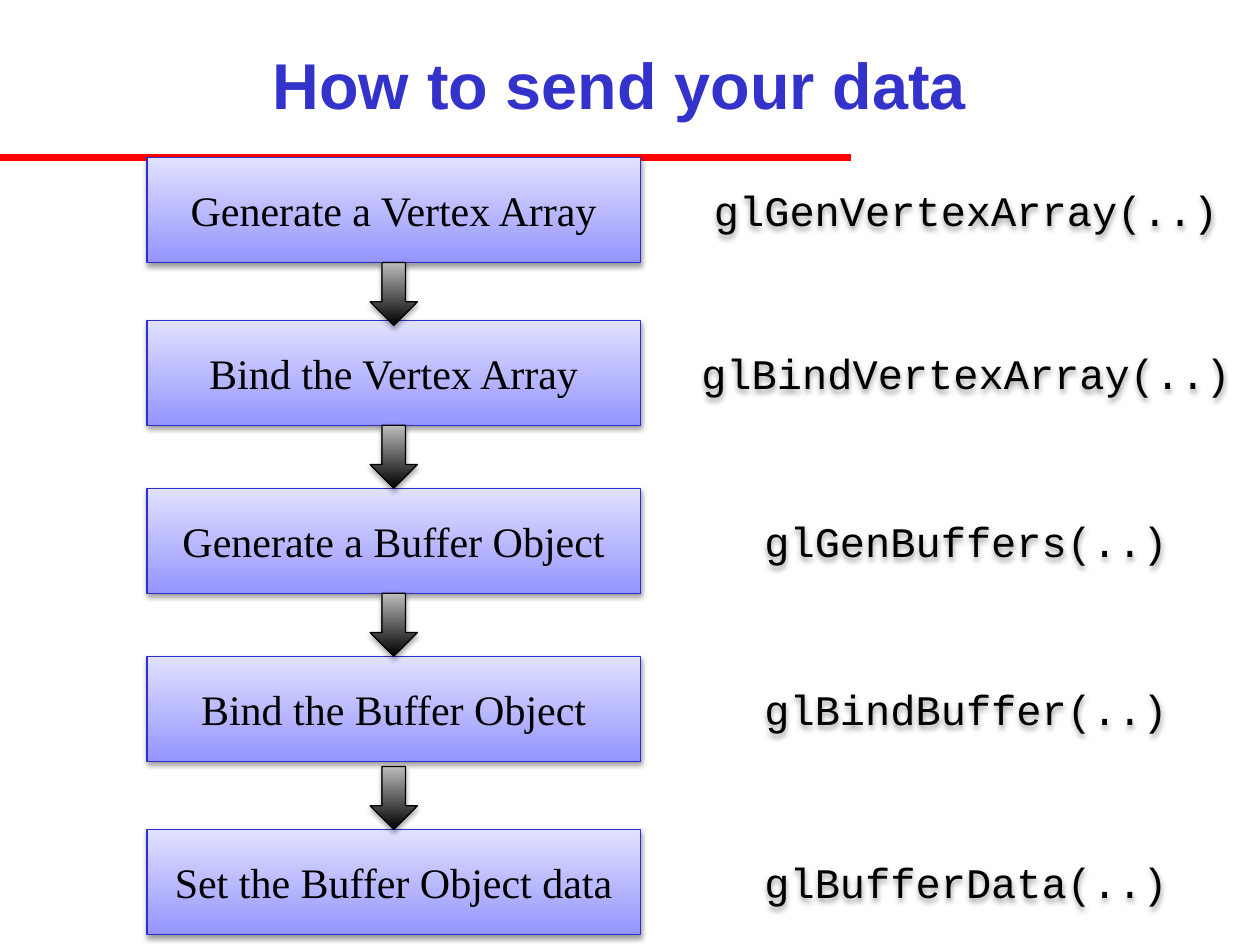
from lxml.etree import SubElement
from pptx import Presentation
from pptx.dml.color import RGBColor
from pptx.enum.shapes import MSO_CONNECTOR as Connector, MSO_SHAPE as Shape
from pptx.enum.text import MSO_ANCHOR as Anchor, MSO_AUTO_SIZE as AutoSize, PP_ALIGN as Align
from pptx.oxml.ns import qn
from pptx.util import Inches, Pt

GRID = 24  # grid cells per inch
BOX_ROWS, ARROW_ROWS, ARROW_COLS = 20, 12, 9
STEP_LEFT, STEP_COLS = 28, 94
CALL_LEFT, CALL_COLS = 130, 108

# Row of each step, its label and its call
STEPS = [
    (30, "Generate a Vertex Array", "glGenVertexArray(..)"),
    (61, "Bind the Vertex Array", "glBindVertexArray(..)"),
    (93, "Generate a Buffer Object", "glGenBuffers(..)"),
    (125, "Bind the Buffer Object", "glBindBuffer(..)"),
    (158, "Set the Buffer Object data", "glBufferData(..)"),
]
ARROW_TOPS = [50, 81, 113, 146]


def cells(*counts):
    return [Inches(count / GRID) for count in counts]


def color(value):
    return RGBColor.from_string(value)


def write(shape, text, size=24, font="Times New Roman", ink="000000", bold=False):
    frame = shape.text_frame
    frame.word_wrap = True
    frame.auto_size = AutoSize.NONE
    frame.vertical_anchor = Anchor.MIDDLE
    para = frame.paragraphs[0]
    para.alignment = Align.CENTER
    span = para.add_run()
    span.text = text
    span.font.size, span.font.name, span.font.bold = Pt(size), font, bold
    span.font.color.rgb = color(ink)


def set_shadow(shape, distance, opacity):
    """Replace the theme shadow with a soft one straight below."""
    shape.shadow.inherit = False
    effects = shape._element.spPr.find(qn("a:effectLst"))
    shadow = SubElement(effects, qn("a:outerShdw"), blurRad=str(Pt(3)),
                        dist=str(Pt(distance)), dir="5400000", rotWithShape="0")
    black = SubElement(shadow, qn("a:srgbClr"), val="000000")
    SubElement(black, qn("a:alpha"), val=str(opacity * 1000))


def add_gradient_shape(page, kind, box, bottom, top, outline, distance, opacity):
    shape = page.shapes.add_shape(kind, *cells(*box))
    shape.fill.gradient()
    shape.fill.gradient_angle = 90
    for stop, shade in zip(shape.fill.gradient_stops, (bottom, top)):
        stop.color.rgb = color(shade)
    shape.line.color.rgb = color(outline)
    shape.line.width = Pt(0.75)
    set_shadow(shape, distance, opacity)
    return shape


def add_header(page, box):
    left, top, width, height = box
    rule = page.shapes.add_connector(
        Connector.STRAIGHT, *cells(left, top + height, left + 162, top + height))
    rule.line.color.rgb = color("FF0000")
    rule.line.width = Pt(4)
    SubElement(rule._element.spPr, qn("a:effectLst"))
    title = page.shapes.title
    title.left, title.top, title.width, title.height = cells(*box)
    write(title, "How to send your data", size=37, font="Arial", ink="3333CC", bold=True)


def add_step(page, box, label):
    step = add_gradient_shape(page, Shape.RECTANGLE, box, "9595FF", "E1E1FF",
                              "2E2ECB", 1.6, 38)
    write(step, label)


def add_arrow(page, box):
    add_gradient_shape(page, Shape.DOWN_ARROW, box, "000000", "BCBCBC",
                       "000000", 1.8, 35)


def add_call(page, box, code):
    call = page.shapes.add_textbox(*cells(*box))
    write(call, code, font="Courier New")
    set_shadow(call, 1.6, 38)


def main():
    deck = Presentation()
    deck.slide_width, deck.slide_height = Inches(10), Inches(7.5)
    page = deck.slides.add_slide(deck.slide_layouts[5])

    # Title and red rule
    add_header(page, (0, 2, 236, 28))

    # Steps with their calls
    for top, label, code in STEPS:
        add_step(page, (STEP_LEFT, top, STEP_COLS, BOX_ROWS), label)
        add_call(page, (CALL_LEFT, top, CALL_COLS, BOX_ROWS), code)

    # Arrows centred on the steps
    arrow_left = STEP_LEFT + (STEP_COLS - ARROW_COLS) / 2
    for top in ARROW_TOPS:
        add_arrow(page, (arrow_left, top, ARROW_COLS, ARROW_ROWS))

    deck.save("out.pptx")


if __name__ == "__main__":
    main()
